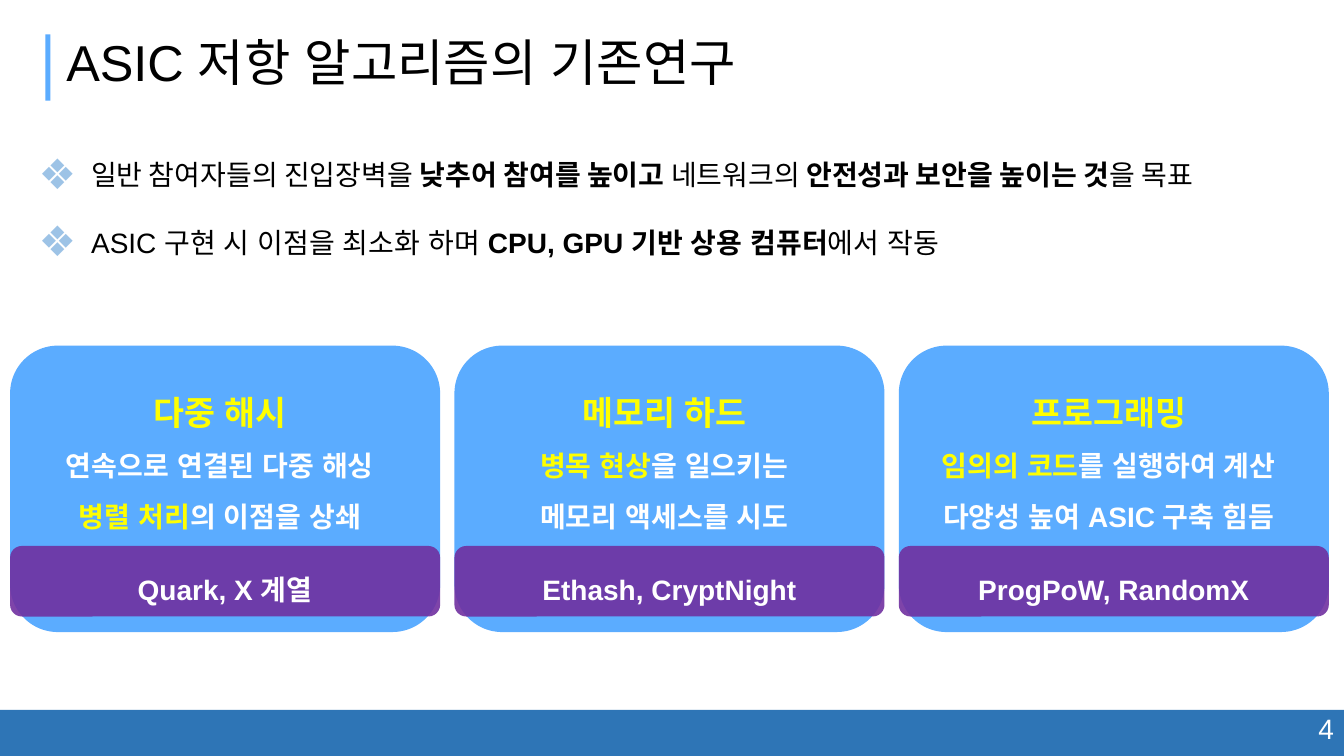
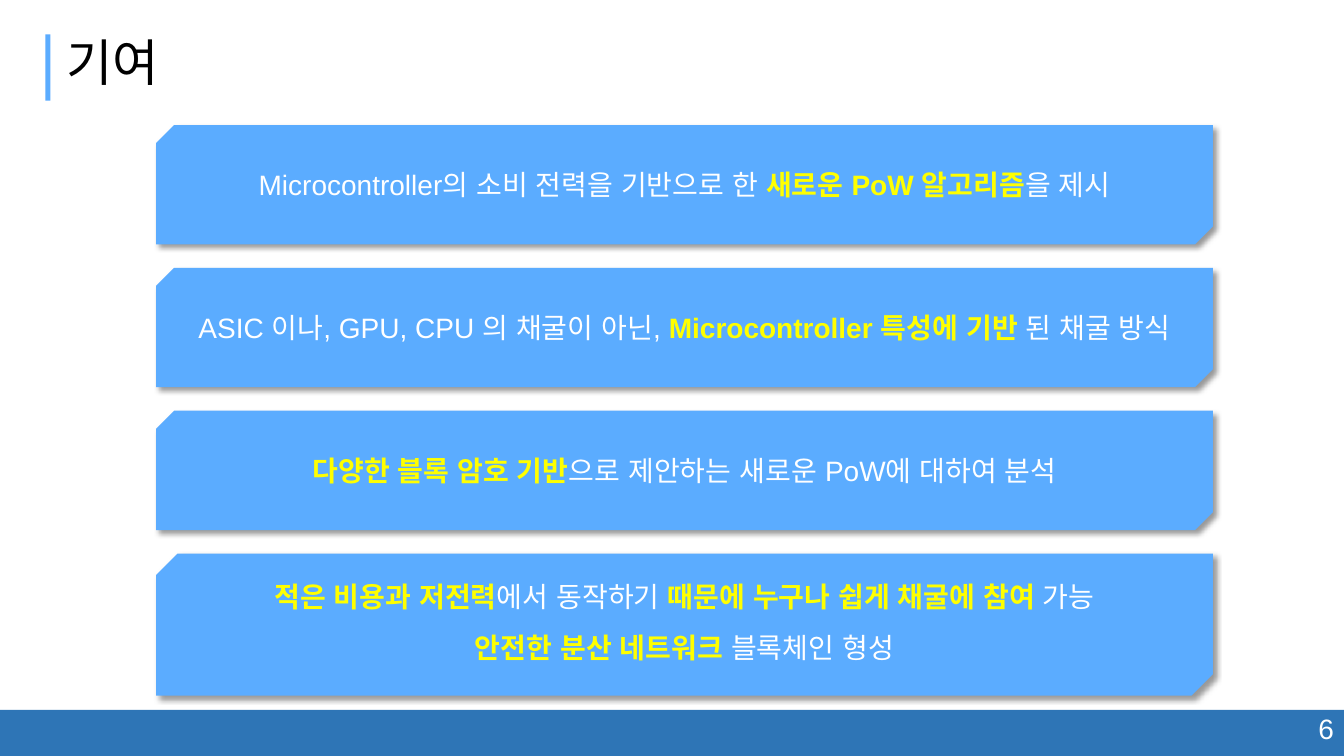
"""Build two Korean slides on ASIC-resistant algorithms and the contribution of the work."""
from lxml.etree import SubElement
from pptx import Presentation
from pptx.dml.color import RGBColor
from pptx.enum.shapes import MSO_SHAPE
from pptx.enum.text import MSO_ANCHOR, MSO_AUTO_SIZE, PP_ALIGN
from pptx.oxml import parse_xml
from pptx.oxml.ns import nsdecls, qn
from pptx.util import Emu, Inches, Pt

COLORS = {
    "band": "2E75B6", "panel": "5BACFF", "tag": "7030A0", "bullet": "9DC3E6",
    "ink": "000000", "light": "FFFFFF", "accent": "FFFF00",
}
FONT, LIST_FONT = "Arial", "Noto Sans CJK KR"
COLUMNS, ROWS = 160, 90
UNIT = Inches(1) // 12


def add_block(page, kind, area, color=None):
    """Add a flat shape whose area is given in grid columns and rows."""
    block = page.shapes.add_shape(kind, *[Emu(round(n * UNIT)) for n in area])
    block.shadow.inherit = False
    block.line.fill.background()
    if color:
        block.fill.solid()
        block.fill.fore_color.rgb = RGBColor.from_string(COLORS[color])
    else:
        block.fill.background()
    return block


def write(shape, lines, size=20, color="light", accent="accent", bold=False,
          align=PP_ALIGN.CENTER, spacing=1.0, fonts=(FONT,)):
    """Write lines of text, where asterisks enclose the emphasised spans."""
    frame = shape.text_frame
    frame.word_wrap = True
    frame.auto_size = MSO_AUTO_SIZE.NONE
    for number, line in enumerate(lines):
        para = frame.add_paragraph() if number else frame.paragraphs[0]
        para.alignment, para.line_spacing = align, spacing
        para.space_before = para.space_after = Pt(0)
        for position, text in enumerate(line.split("*")):
            if not text:
                continue
            strong = position % 2 == 1
            span = para.add_run()
            span.text = text
            span.font.size = Pt(size)
            span.font.bold = bold or strong
            span.font.color.rgb = RGBColor.from_string(COLORS[accent if strong else color])
            span.font.name = fonts[number % len(fonts)]
            SubElement(span.font._element, qn("a:ea"), typeface=span.font.name)


deck = Presentation()
deck.slide_width, deck.slide_height = COLUMNS * UNIT, ROWS * UNIT
master = deck.slide_master

holder_areas = [(6.7, 2.8, 149, 10), (3.4, 18.2, 152.8, 17.4)]
for holder, area in zip(master.placeholders, holder_areas):
    holder.left, holder.top, holder.width, holder.height = [Emu(round(n * UNIT)) for n in area]

research = deck.slides.add_slide(deck.slide_layouts[1])
contribution = deck.slides.add_slide(deck.slide_layouts[5])

decorations = [((0, 84.5, COLUMNS, 5.5), "band"), ((5.4, 4.1, 0.6, 7.9), "panel")]
for number, (area, color) in enumerate(decorations):
    block = add_block(research, MSO_SHAPE.RECTANGLE, area, color)
    block.element.nvSpPr.cNvPr.set("id", str(100 + number))
    master.shapes.element.insert(2 + number, block.element)

headings = [(research, "ASIC 저항 알고리즘의 기존연구", "4"), (contribution, "기여", "6")]
for page, heading, page_number in headings:
    write(page.shapes.title, [heading], 36, "ink", align=PP_ALIGN.LEFT, spacing=0.9)
    number_box = add_block(page, MSO_SHAPE.RECTANGLE, (113.2, 84.1, 46.8, 5.3))
    write(number_box, [page_number], align=PP_ALIGN.RIGHT)

goals = research.placeholders[1]
write(goals, [
    "일반 참여자들의 진입장벽을 *낮추어 참여를 높이고 *네트워크의 *안전성과 보안을 높이는 것*을 목표",
    "ASIC 구현 시 이점을 최소화 하며 *CPU, GPU 기반 상용 컴퓨터*에서 작동",
], color="ink", accent="ink", align=PP_ALIGN.LEFT, fonts=(LIST_FONT, FONT))
goals.text_frame.paragraphs[1].space_before = Pt(24)
for para in goals.text_frame.paragraphs:
    properties = para._p.get_or_add_pPr()
    properties.set("marL", str(Inches(0.52)))
    properties.set("indent", str(-Inches(0.52)))
    bullet_color = SubElement(properties, qn("a:buClr"))
    SubElement(bullet_color, qn("a:srgbClr"), val=COLORS["bullet"])
    SubElement(properties, qn("a:buSzPct"), val="150000")
    SubElement(properties, qn("a:buChar"), char="❖")

families = [
    ("다중 해시", ["연속으로 연결된 다중 해싱", "*병렬 처리*의 이점을 상쇄"], "Quark, X 계열"),
    ("메모리 하드", ["*병목 현상*을 일으키는", "메모리 액세스를 시도"], "Ethash, CryptNight"),
    ("프로그래밍", ["*임의의 코드*를 실행하여 계산", "다양성 높여 ASIC 구축 힘듬"], "ProgPoW, RandomX"),
]
card_width, card_step = 51.2, 52.9
for number, (name, details, examples) in enumerate(families):
    left = 1.2 + number * card_step
    card = add_block(research, MSO_SHAPE.ROUNDED_RECTANGLE, (left, 41.15, card_width, 34.1), "panel")
    write(card, [f"*{name}*", *details], bold=True, spacing=1.5)
    card.text_frame.paragraphs[0].runs[0].font.size = Pt(24)
    card.text_frame.vertical_anchor = MSO_ANCHOR.TOP
    card.text_frame.margin_top = Inches(0.12)
    card.text_frame.margin_right = Inches(0.2)
    tag = add_block(research, MSO_SHAPE.ROUNDED_RECTANGLE, (left, 65, card_width, 8.4), "tag")
    write(tag, [examples], bold=True, spacing=1.5)
    for fill_color in tag.element.spPr.iter(qn("a:srgbClr")):
        SubElement(fill_color, qn("a:alpha"), val="90000")

claims = [
    ["Microcontroller의 소비 전력을 기반으로 한 *새로운 PoW 알고리즘*을 제시"],
    ["ASIC 이나, GPU, CPU 의 채굴이 아닌, *Microcontroller 특성에 기반 *된 채굴 방식"],
    ["*다양한 블록 암호 기반*으로 제안하는 새로운 PoW에 대하여 분석"],
    ["*적은 비용과 저전력*에서 동작하기 *때문에 누구나 쉽게 채굴에 참여 *가능",
     "*안전한 분산 네트워크 *블록체인 형성"],
]
for number, lines in enumerate(claims):
    double = len(lines) > 1
    area = (18.6, 14.9 + 17 * number, 125.8, 16.9 if double else 14.2)
    panel = add_block(contribution, MSO_SHAPE.SNIP_2_DIAG_RECTANGLE, area, "panel")
    panel.adjustments[0], panel.adjustments[1] = 0.15, 0
    write(panel, lines, spacing=1.5 if double else 1.0)
    panel.text_frame.margin_left = panel.text_frame.margin_right = Inches(0.05)
    panel.text_frame.margin_bottom = Inches(0.27 if double else 0.05)
    panel.element.spPr.find(qn("a:effectLst")).append(parse_xml(
        f'<a:outerShdw {nsdecls("a")} blurRad="{Pt(4)}" dist="{Pt(3)}" dir="2700000" '
        f'algn="tl" rotWithShape="0"><a:srgbClr val="{COLORS["ink"]}">'
        '<a:alpha val="40000"/></a:srgbClr></a:outerShdw>'))

deck.save("out.pptx")
